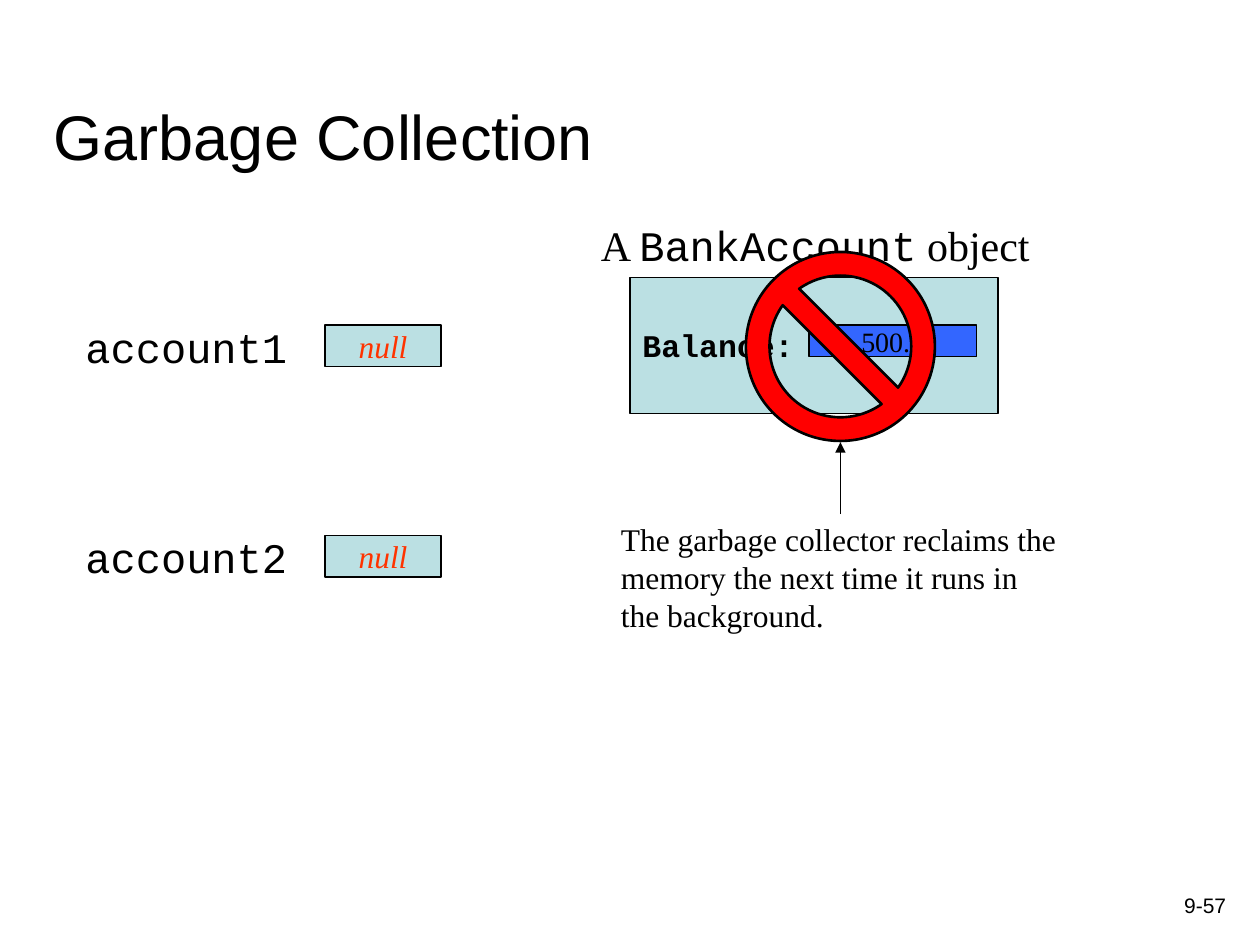
"""Build the Garbage Collection slide."""
from lxml import etree
from pptx import Presentation
from pptx.dml.color import RGBColor
from pptx.enum import shapes, text
from pptx.oxml.ns import qn
from pptx.util import Inches, Pt

SANS, SERIF, MONO = "Arial", "Times New Roman", "Courier New"
BLACK, RED, ORANGE, PALE, BLUE = "000000", "FF0000", "FF3300", "BBE0E3", "3366FF"
LEFT, CENTER, RIGHT = text.PP_ALIGN.LEFT, text.PP_ALIGN.CENTER, text.PP_ALIGN.RIGHT
TOP, MIDDLE, BOTTOM = text.MSO_ANCHOR.TOP, text.MSO_ANCHOR.MIDDLE, text.MSO_ANCHOR.BOTTOM

TITLE = "Garbage Collection"
PAGE = "9-57"
CAPTION = [("A ", SERIF), ("BankAccount", MONO), (" object", SERIF)]
VARIABLES = [("account1", "null"), ("account2", "null")]
FIELD, VALUE = "Balance:", "500.0"
NOTE = ("The garbage collector reclaims the memory the next time "
        "it runs in the background.")
ROW_TOP, ROW_STEP = 2.5, 1.67
SIGN = (5.92, 2, 1.5, 1.5)


def rgb(color):
    return RGBColor.from_string(color)


def write(sp, runs, size, color=BLACK, align=LEFT, anchor=TOP, wrap=True, **style):
    tf = sp.text_frame
    tf.word_wrap, tf.vertical_anchor = wrap, anchor
    p = tf.paragraphs[0]
    p.alignment = align
    for words, font in runs:
        r = p.add_run()
        r.text = words
        r.font.color.rgb = rgb(color)
        for name, value in {"name": font, "size": Pt(size), **style}.items():
            setattr(r.font, name, value)


def add_text(s, box, runs, size, **options):
    write(s.shapes.add_textbox(*map(Inches, box)), runs, size, **options)


def add_shape(s, kind, box, fill, width=0.75):
    sp = s.shapes.add_shape(kind, *map(Inches, box))
    sp.shadow.inherit = False
    sp.fill.solid()
    sp.fill.fore_color.rgb = rgb(fill)
    sp.line.color.rgb = rgb(BLACK)
    sp.line.width = Pt(width)
    return sp


def add_arrow(s, x, start, end):
    line = s.shapes.add_connector(shapes.MSO_CONNECTOR.STRAIGHT,
                                  *map(Inches, (x, start, x, end)))
    line.line.color.rgb = rgb(BLACK)
    line.line.width = Pt(0.75)
    props = line._element.spPr
    etree.SubElement(props.find(qn("a:ln")), qn("a:tailEnd"), type="triangle")
    etree.SubElement(props, qn("a:effectLst"))


def main():
    prs = Presentation()
    prs.slide_width, prs.slide_height = Inches(10), Inches(7.5)
    s = prs.slides.add_slide(prs.slide_layouts[6])
    rect = shapes.MSO_SHAPE.RECTANGLE

    add_text(s, (0.33, 0.33, 9.42, 1.09), [(TITLE, SANS)], 36, anchor=BOTTOM)
    add_text(s, (7.75, 6.83, 2.08, 0.5), [(PAGE, SANS)], 12, align=RIGHT, anchor=BOTTOM)
    add_text(s, (4.67, 1.69, 3.62, 0.5), CAPTION, 24, wrap=False)

    for i, (name, value) in enumerate(VARIABLES):
        y = ROW_TOP + i * ROW_STEP
        add_text(s, (0.58, y, 1.83, 0.5), [(name, MONO)], 24)
        cell = add_shape(s, rect, (2.58, y + 0.08, 0.92, 0.33), PALE)
        write(cell, [(value, SERIF)], 18, color=ORANGE, align=CENTER,
              anchor=MIDDLE, italic=True)

    account = add_shape(s, rect, (5, 2.2, 2.92, 1.08), PALE)
    write(account, [(FIELD, MONO)], 18, anchor=MIDDLE, bold=True)
    balance = add_shape(s, rect, (6.42, 2.58, 1.33, 0.25), BLUE)
    write(balance, [(VALUE, SERIF)], 16, align=CENTER, anchor=MIDDLE)

    sign = add_shape(s, shapes.MSO_SHAPE.NO_SYMBOL, SIGN, RED, 1.5)
    sign.adjustments[0] = 0.125
    left, top, width, height = SIGN
    add_text(s, (4.83, 4.08, 3.67, 1), [(NOTE, SERIF)], 18)
    add_arrow(s, left + width / 2, 4.08, top + height + 0.01)

    prs.save("out.pptx")


if __name__ == "__main__":
    main()
